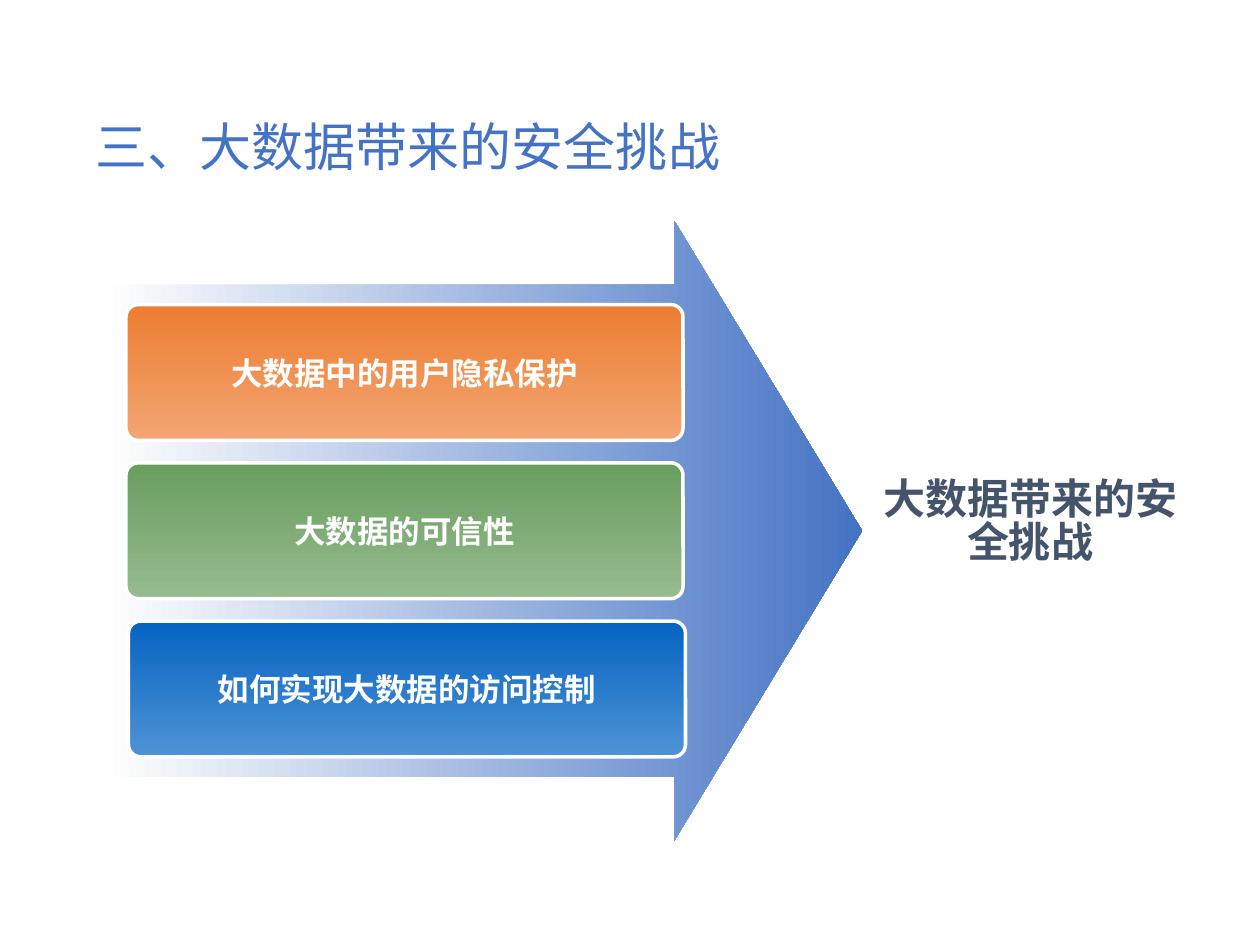
from pptx import Presentation
from pptx import util as u
from pptx.dml.color import RGBColor
from pptx.enum import shapes, text
from pptx.oxml.ns import qn
from lxml import etree

WHITE = RGBColor(0xFF, 0xFF, 0xFF)
BLUE = RGBColor(0x44, 0x72, 0xC4)
SLATE = RGBColor(0x44, 0x54, 0x6A)
ORANGE = RGBColor(0xED, 0x7D, 0x31)
LIGHT_ORANGE = RGBColor(0xF3, 0xA5, 0x72)
GREEN = RGBColor(0x69, 0x9D, 0x5F)
LIGHT_GREEN = RGBColor(0x96, 0xBB, 0x8F)
DEEP_BLUE = RGBColor(0x05, 0x63, 0xC1)
LIGHT_BLUE = RGBColor(0x4F, 0x93, 0xD6)
CJK_FONT = "Noto Sans CJK SC"
RIGHTWARD, DOWNWARD = 0, 270


class ChallengeSlide:
    def __init__(self, slide):
        self.slide = slide

    def label(self, shape, words, size, color, bold=True, centred=True,
              wrap=True, spacing=1.0, latin=CJK_FONT):
        frame = shape.text_frame
        frame.word_wrap = wrap
        frame.vertical_anchor = text.MSO_ANCHOR.MIDDLE
        paragraph = frame.paragraphs[0]
        paragraph.alignment = text.PP_ALIGN.CENTER if centred else text.PP_ALIGN.LEFT
        paragraph.line_spacing = spacing
        run = paragraph.add_run()
        run.text = words
        run.font.size = u.Pt(size)
        run.font.bold = bold
        run.font.color.rgb = color
        run.font.name = latin
        east_asian = etree.SubElement(run.font._element, qn("a:ea"))
        east_asian.set("typeface", CJK_FONT)

    def title(self, words, box):
        shape = self.slide.shapes.add_textbox(*map(u.Cm, box))
        self.label(shape, words, 29.7, BLUE, bold=False, centred=False, spacing=0.9)

    def block(self, kind, box, adjustments, colors, angle):
        shape = self.slide.shapes.add_shape(kind, *map(u.Cm, box))
        shape.shadow.inherit = False
        shape.line.fill.background()
        for index, value in enumerate(adjustments):
            shape.adjustments[index] = value
        shape.fill.gradient()
        shape.fill.gradient_angle = angle
        for stop, color in zip(shape.fill.gradient_stops, colors):
            stop.color.rgb = color
        return shape

    def arrow(self, box):
        self.block(shapes.MSO_SHAPE.RIGHT_ARROW, box, (0.793, 0.303),
                   (WHITE, BLUE), RIGHTWARD)

    def card(self, words, box, colors, latin):
        shape = self.block(shapes.MSO_SHAPE.ROUNDED_RECTANGLE, box, (0.091,),
                           colors, DOWNWARD)
        shape.line.color.rgb = WHITE
        shape.line.width = u.Pt(2)
        self.label(shape, words, 18, WHITE, wrap=False, latin=latin)

    def conclusion(self, words, box):
        shape = self.slide.shapes.add_shape(
            shapes.MSO_SHAPE.ROUNDED_RECTANGLE, *map(u.Cm, box))
        shape.shadow.inherit = False
        shape.adjustments[0] = 0.091
        shape.fill.background()
        shape.line.fill.background()
        self.label(shape, words, 24, SLATE, spacing=0.86)


def main():
    presentation = Presentation()
    presentation.slide_width = u.Cm(25.4)
    presentation.slide_height = u.Cm(19.05)
    page = ChallengeSlide(presentation.slides.add_slide(presentation.slide_layouts[6]))

    page.title("三、大数据带来的安全挑战", (1.68, 2.34, 14.22, 1.35))
    page.arrow((2.11, 4.45, 15.27, 12.5))

    cards = [
        ("大数据中的用户隐私保护", 2.54, (ORANGE, LIGHT_ORANGE), CJK_FONT),
        ("大数据的可信性", 2.54, (GREEN, LIGHT_GREEN), "Arial"),
        ("如何实现大数据的访问控制", 2.59, (DEEP_BLUE, LIGHT_BLUE), CJK_FONT),
    ]
    top, pitch = 6.14, 3.19
    for row, (words, left, colors, latin) in enumerate(cards):
        page.card(words, (left, top + row * pitch, 11.23, 2.74), colors, latin)

    page.conclusion("大数据带来的安全挑战", (17.27, 8.74, 6.99, 3.61))
    presentation.save("out.pptx")


if __name__ == "__main__":
    main()
